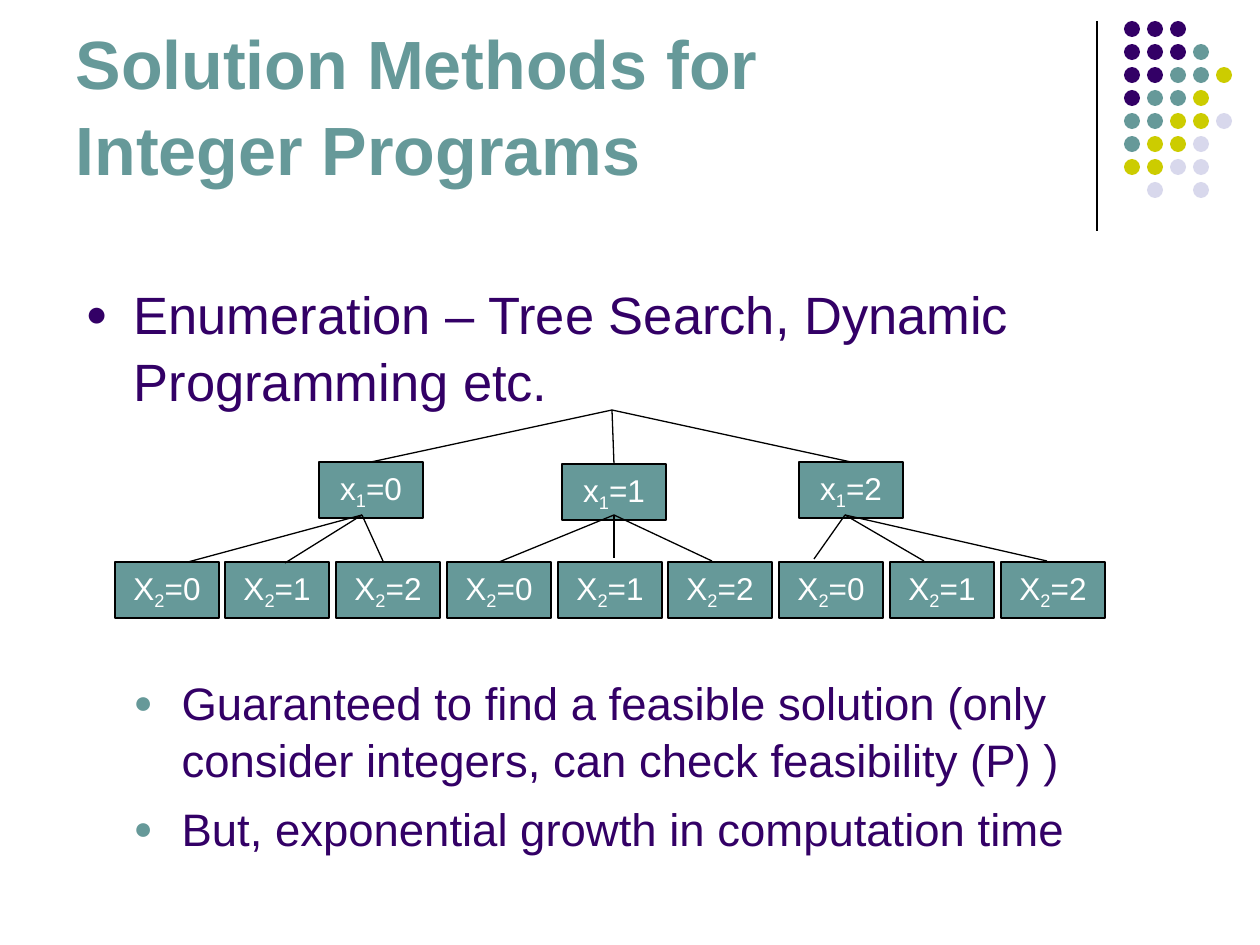
from math import dist

from lxml.etree import SubElement
from pptx import Presentation
from pptx.dml.color import RGBColor
from pptx.enum.shapes import MSO_CONNECTOR as Line, MSO_SHAPE as Preset
from pptx.enum.text import MSO_ANCHOR as Anchor, MSO_AUTO_SIZE as AutoSize, PP_ALIGN as Align
from pptx.oxml.ns import qn
from pptx.util import Emu, Pt

EMU_PER_PX = 914400 / 126
COLORS = {
    "purple": "330066", "teal": "669999", "olive": "CCCC00",
    "lilac": "D8D8EC", "black": "000000", "white": "FFFFFF",
}
TOP, BOTTOM = 0, 2
JOIN_REACH = 4  # px within which a branch counts as meeting a node
NODE_W, NODE_H = 104, 56

# Dot ornament: one letter per dot, row by row
DOT_ROWS = ["PPP", "PPPT", "PPTTO", "PTTO", "TTOOL", "TOOL", "OOLL", " L L"]
DOT_COLORS = {"P": "purple", "T": "teal", "O": "olive", "L": "lilac"}

# Text, level, size, left margin, bullet colour, space before
BULLETS = [
    ("Enumeration – Tree Search, Dynamic Programming etc.", 0, 30, 48, "purple", 0),
    ("Guaranteed to find a feasible solution (only consider integers, "
     "can check feasibility (P) )", 1, 26, 96, "teal", 149),
    ("But, exponential growth in computation time", 1, 26, 96, "teal", 6.5),
]

# Search tree: root point, first-level nodes, and where the branches run
ROOT = (612, 410)
PARENTS = [(319, 462), (562, 464), (799, 462)]
PARENT_ENDS = [(368, 461), (612, 464), (854, 461)]
FORKS = [(362, 515), (614, 515), (845, 515)]
LEAF_ENDS = [
    (188, 562), (285, 563), (383, 561),
    (501, 561), (614, 558), (712, 561),
    (814, 559), (924, 561), (1047, 561),
]


def px(length):
    return Emu(round(length * EMU_PER_PX))


def rgb(name):
    return RGBColor.from_string(COLORS[name])


def apply(target, values):
    for attribute, value in values.items():
        setattr(target, attribute, value)


def set_font(font, size, color, **extra):
    apply(font, {"name": "Arial", "size": Pt(size), **extra})
    font.color.rgb = rgb(color)


def place(placeholder, left, top, width, height, anchor):
    apply(placeholder, {"left": px(left), "top": px(top),
                        "width": px(width), "height": px(height)})
    apply(placeholder.text_frame, {"word_wrap": True, "vertical_anchor": anchor,
                                   "auto_size": AutoSize.NONE})


def add_bullet(paragraph, margin, color):
    properties = paragraph._p.get_or_add_pPr()
    properties.set("marL", str(px(margin)))
    properties.set("indent", str(-px(48)))
    bullet_color = SubElement(properties, qn("a:buClr"))
    SubElement(bullet_color, qn("a:srgbClr"), val=COLORS[color])
    SubElement(properties, qn("a:buSzPct"), val="70000")
    SubElement(properties, qn("a:buFont"), typeface="Arial")
    SubElement(properties, qn("a:buChar"), char="●")


def write_title(title):
    place(title, 63, 16, 1040, 179, Anchor.BOTTOM)
    title.text_frame.text = "Solution Methods for\vInteger Programs"
    heading = title.text_frame.paragraphs[0]
    apply(heading, {"alignment": Align.LEFT, "line_spacing": 1.05})
    set_font(heading.font, 39, "teal", bold=True)


def write_body(body):
    place(body, 73, 273, 1134, 607, Anchor.TOP)
    frame = body.text_frame
    for number, (text, level, size, margin, color, before) in enumerate(BULLETS):
        point = frame.add_paragraph() if number else frame.paragraphs[0]
        point.text = text
        add_bullet(point, margin, color)
        apply(point, {"level": level, "alignment": Align.LEFT,
                      "line_spacing": 1.05, "space_before": Pt(before)})
        set_font(point.font, size, "purple")


def add_filled(shapes, preset, left, top, width, height, color):
    shape = shapes.add_shape(preset, px(left), px(top), px(width), px(height))
    shape.shadow.inherit = False
    shape.fill.solid()
    shape.fill.fore_color.rgb = rgb(color)
    shape.line.fill.background()
    return shape


def add_node(shapes, left, top, variable, index, value):
    node = add_filled(shapes, Preset.RECTANGLE, left, top, NODE_W, NODE_H, "teal")
    node.line.color.rgb = rgb("black")
    node.line.width = Pt(0.75)
    frame = node.text_frame
    apply(frame, {"word_wrap": False, "vertical_anchor": Anchor.MIDDLE})
    label = frame.paragraphs[0]
    label.alignment = Align.CENTER
    for text in (variable, index, f"={value}"):
        run = label.add_run()
        run.text = text
        set_font(run.font, 18, "white")
        if text == index:
            run.font._element.set("baseline", "-25000")
    return node


def add_line(shapes, start, end):
    line = shapes.add_connector(Line.STRAIGHT, *map(px, (*start, *end)))
    line.line.color.rgb = rgb("black")
    line.line.width = Pt(0.75)
    SubElement(line._element.spPr, qn("a:effectLst"))
    return line


def meets(node, side, point):
    middle = (node.left + node.width / 2, node.top + (node.height if side == BOTTOM else 0))
    return dist(middle, map(px, point)) <= px(JOIN_REACH + 0.5)


def add_branch(shapes, start, end, child, parent=None):
    branch = add_line(shapes, start, end)
    if parent is not None and meets(parent, BOTTOM, start):
        branch.begin_connect(parent, BOTTOM)
    if meets(child, TOP, end):
        branch.end_connect(child, TOP)


def draw_ornament(shapes):
    add_line(shapes, (1097, 21), (1097, 231))
    for row, letters in enumerate(DOT_ROWS):
        for column, letter in enumerate(letters):
            if letter in DOT_COLORS:
                add_filled(shapes, Preset.OVAL, 1124 + 23 * column, 21 + 23 * row,
                           16, 16, DOT_COLORS[letter])


def draw_tree(shapes):
    parents = [add_node(shapes, left, top, "x", "1", value)
               for value, (left, top) in enumerate(PARENTS)]
    leaves = [add_node(shapes, 115 + 443 * number // 4, 562, "X", "2", number % 3)
              for number in range(len(LEAF_ENDS))]
    for parent, end in zip(parents, PARENT_ENDS):
        add_branch(shapes, ROOT, end, parent)
    for number, (leaf, end) in enumerate(zip(leaves, LEAF_ENDS)):
        family = number // 3
        add_branch(shapes, FORKS[family], end, leaf, parents[family])


def main():
    deck = Presentation()
    deck.slide_width, deck.slide_height = px(1260), px(945)
    slide = deck.slides.add_slide(deck.slide_layouts[1])
    # Title and list
    write_title(slide.shapes.title)
    write_body(slide.placeholders[1])
    # Corner ornament and search tree
    draw_ornament(slide.shapes)
    draw_tree(slide.shapes)
    deck.save("out.pptx")


if __name__ == "__main__":
    main()
